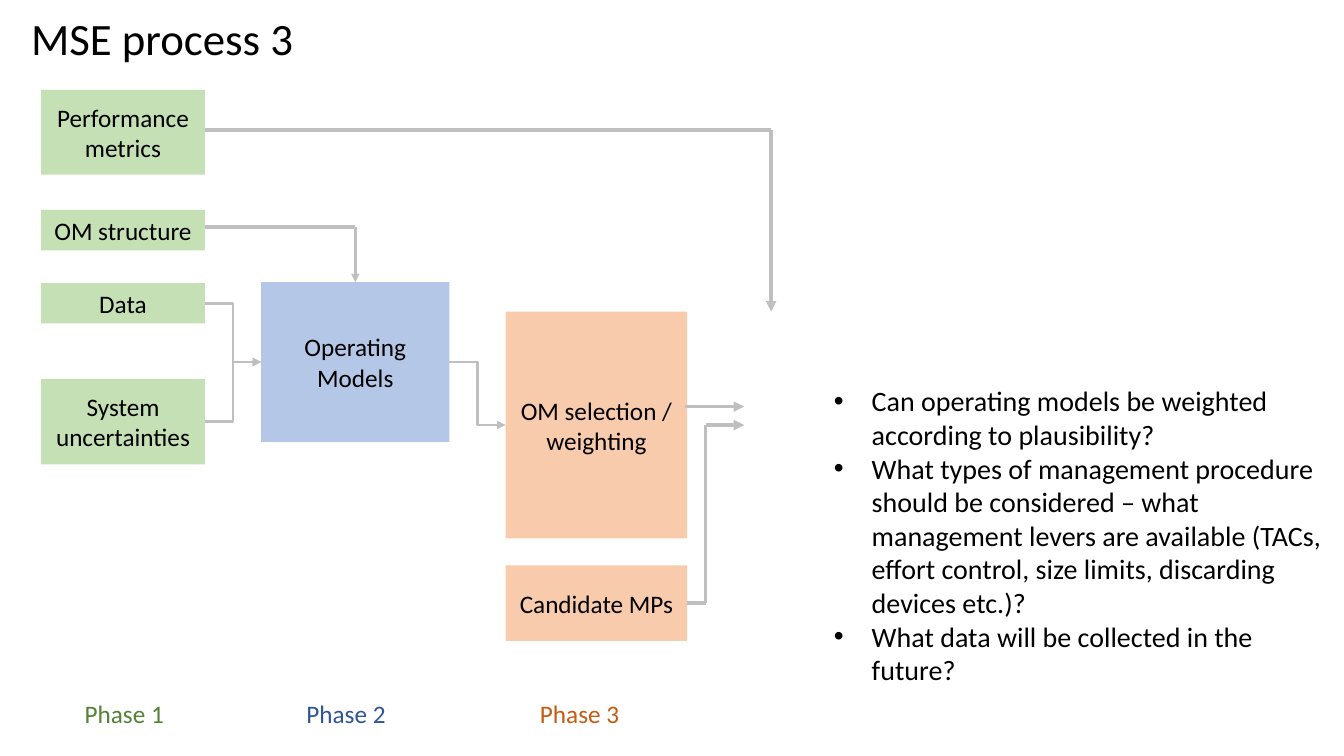
import pptx
import pptx.util
import pptx.dml.color
import pptx.enum.shapes
import pptx.enum.text
import pptx.oxml
import pptx.oxml.ns

RGB = pptx.dml.color.RGBColor
Pt = pptx.util.Pt
ALIGN = pptx.enum.text.PP_ALIGN
ANCHOR = pptx.enum.text.MSO_ANCHOR
CONNECTOR = pptx.enum.shapes.MSO_CONNECTOR
SITE_LEFT, SITE_RIGHT = 1, 3
COLS, ROWS = 160, 90

BLACK = RGB(0x00, 0x00, 0x00)
GRAY = RGB(0xBF, 0xBF, 0xBF)
GREEN = RGB(0xC5, 0xE0, 0xB4)
BLUE = RGB(0xB4, 0xC7, 0xE7)
ORANGE = RGB(0xF8, 0xCB, 0xAD)
DARK_GREEN = RGB(0x54, 0x82, 0x35)
DARK_BLUE = RGB(0x2F, 0x55, 0x97)
DARK_ORANGE = RGB(0xC5, 0x5A, 0x11)


def add_run(p, text, size=18, color=BLACK, font="Calibri", align=ALIGN.LEFT):
    p.alignment = align
    r = p.add_run()
    r.text = text
    r.font.size, r.font.name = Pt(size), font
    r.font.color.rgb = color


def add_xml(parent, tag, **attrs):
    e = pptx.oxml.ns.qn(tag)
    child = parent.makeelement(e, {k: str(v) for k, v in attrs.items()})
    parent.append(child)
    return child


class Diagram:
    """Draws styled elements on one slide, measured in grid columns and rows."""

    def __init__(self, prs):
        self.col = prs.slide_width / COLS
        self.row = prs.slide_height / ROWS
        self.slide = prs.slides.add_slide(prs.slide_layouts[5])

    def grid(self, x, y):
        return round(x * self.col), round(y * self.row)

    def title(self, text, x, y, w, h):
        s = self.slide.shapes.title
        s.left, s.top = self.grid(x, y)
        s.width, s.height = self.grid(w, h)
        tf = s.text_frame
        tf.vertical_anchor = ANCHOR.MIDDLE
        p = tf.paragraphs[0]
        p.line_spacing = 0.9
        add_run(p, text, size=32)

    def box(self, text, x, y, w, h, fill):
        s = self.slide.shapes.add_shape(
            pptx.enum.shapes.MSO_SHAPE.RECTANGLE, *self.grid(x, y), *self.grid(w, h))
        s.shadow.inherit = False
        s.fill.solid()
        s.fill.fore_color.rgb = fill
        s.line.fill.background()
        s.text_frame.word_wrap = True
        s.text_frame.vertical_anchor = ANCHOR.MIDDLE
        add_run(s.text_frame.paragraphs[0], text, align=ALIGN.CENTER)
        return s

    def line(self, start, end, width=2.5, arrow=False, kind=CONNECTOR.STRAIGHT):
        s = self.slide.shapes.add_connector(kind, *self.grid(*start), *self.grid(*end))
        s.line.color.rgb, s.line.width = GRAY, Pt(width)
        if arrow:
            add_xml(s.line._get_or_add_ln(), "a:tailEnd", type="triangle")
        add_xml(s._element.spPr, "a:effectLst")
        return s

    def elbow(self, source, target):
        s = self.line((0, 0), (1, 1), width=2, arrow=True, kind=CONNECTOR.ELBOW)
        s.begin_connect(source, SITE_RIGHT)
        s.end_connect(target, SITE_LEFT)

    def text_box(self, x, y, w, h):
        tf = self.slide.shapes.add_textbox(*self.grid(x, y), *self.grid(w, h)).text_frame
        tf.word_wrap = True
        return tf

    def bullets(self, items, x, y, w, h):
        tf = self.text_box(x, y, w, h)
        indent = round(4.5 * self.col)
        for i, item in enumerate(items):
            p = tf.add_paragraph() if i else tf.paragraphs[0]
            add_run(p, item, size=20)
            pPr = p._p.get_or_add_pPr()
            pPr.set("marL", str(indent))
            pPr.set("indent", str(-indent))
            add_xml(pPr, "a:buFont", typeface="Arial")
            add_xml(pPr, "a:buChar", char="•")

    def phases(self, labels, x, y, w, h):
        p = self.text_box(x, y, w, h).paragraphs[0]
        tabs = add_xml(p._p.get_or_add_pPr(), "a:tabLst")
        for text, stop, color in labels:
            add_xml(tabs, "a:tab", pos=round(stop * self.col), algn="l")
            add_run(p, "\t" + text, color=color)


def main():
    prs = pptx.Presentation()
    prs.slide_width, prs.slide_height = pptx.util.Inches(13.33), pptx.util.Inches(7.5)
    d = Diagram(prs)
    d.title("MSE process 3", 2.5, -0.1, 46.1, 10)

    inputs = {text: d.box(text, 4.9, y, 19.5, h, GREEN) for text, y, h in (
        ("Performance metrics", 10.7, 10.1),
        ("OM structure", 25, 4.8),
        ("Data", 33.7, 4.8),
        ("System uncertainties", 45.1, 10.2))}
    models = d.box("Operating Models", 31.1, 33.6, 22.4, 19, BLUE)
    selection = d.box("OM selection / weighting", 60.2, 37.1, 21.6, 27, ORANGE)
    d.box("Candidate MPs", 60.2, 67.3, 21.6, 9, ORANGE)

    d.elbow(inputs["Data"], models)
    d.elbow(inputs["System uncertainties"], models)
    d.elbow(models, selection)

    d.line((24.4, 15.5), (91.8, 15.5))
    d.line((91.8, 15.5), (91.8, 37.1), arrow=True)
    d.line((24.4, 27), (42.3, 27))
    d.line((42.3, 27), (42.3, 33.6), width=2, arrow=True)
    d.line((81.8, 71.8), (84, 71.8))
    d.line((84, 71.8), (84, 50.6))
    d.line((84, 50.6), (88.6, 50.6), arrow=True)
    d.line((81.6, 48.4), (88.6, 48.4), arrow=True)

    d.phases((("Phase 1", 4, DARK_GREEN),
              ("Phase 2", 30.4, DARK_BLUE),
              ("Phase 3", 58.2, DARK_ORANGE)), 4.9, 82.6, 144.6, 4.8)
    d.bullets((
        "Can operating models be weighted according to plausibility?",
        "What types of management procedure should be considered – what management "
        "levers are available (TACs, effort control, size limits, discarding devices etc.)?",
        "What data will be collected in the future?"), 98.1, 45.1, 61.2, 37.6)
    prs.save("out.pptx")


if __name__ == "__main__":
    main()
